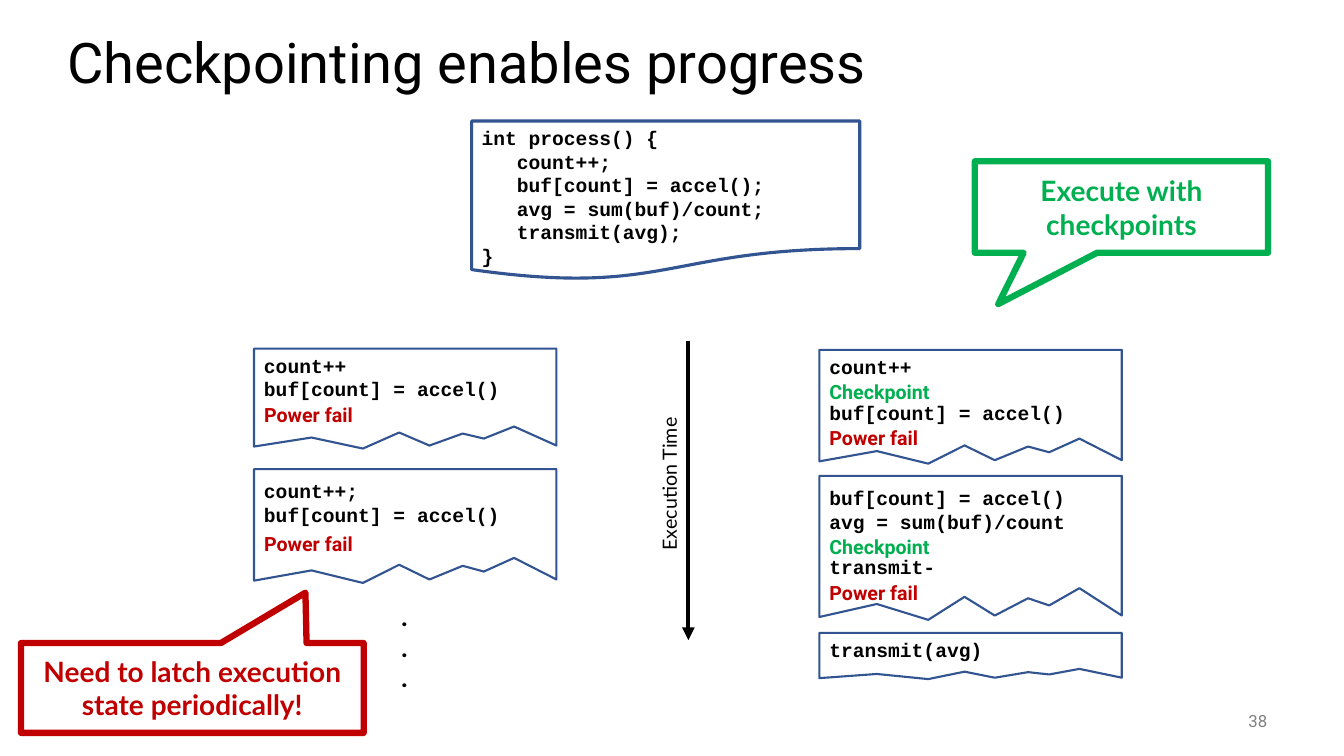
from dataclasses import dataclass
from lxml import etree
from pptx import Presentation
from pptx import util as u
from pptx.dml.color import RGBColor
from pptx.enum import shapes, text
from pptx.oxml.ns import qn


@dataclass(frozen=True)
class Theme:
    """Colours, fonts and type sizes."""
    ink: str = "000000"
    paper: str = "FFFFFF"
    edge: str = "325491"
    bad: str = "C00000"
    good: str = "00B050"
    grey: str = "808080"
    head: str = "Roboto"
    note: str = "Lato"
    mono: str = "Courier New"
    title: int = 40
    call: int = 20
    dots: int = 18
    body: int = 14
    page: int = 12


T = Theme()
COLS, ROWS = 32, 18
WIDE, HIGH = u.Inches(13.33), u.Inches(7.5)
TEAR = [(1, .97), (.86, .78), (.76, .9), (.69, .85), (.58, .97), (.48, .84),
        (.36, 1), (.19, .89), (0, .98)]


def place(box):
    """Turn grid columns and rows into slide lengths."""
    x, y, w, h = box
    cell, row = WIDE / COLS, HIGH / ROWS
    return [u.Emu(round(n)) for n in (x * cell, y * row, w * cell, h * row)]


def write(shape, lines, size, font, color, bold=False, align="LEFT", anchor="TOP", gaps=()):
    """Fill a shape with lines; gaps lists the lines that follow an empty row."""
    frame = shape.text_frame
    frame.word_wrap = True
    frame.vertical_anchor = getattr(text.MSO_ANCHOR, anchor)
    for i, line in enumerate(lines):
        para = frame.add_paragraph() if i else frame.paragraphs[0]
        para.text = line
        para.alignment = getattr(text.PP_ALIGN, align)
        if i in gaps:
            para.space_before = u.Pt(16)
        para.font.size, para.font.name, para.font.bold = u.Pt(size), font, bold
        para.font.color.rgb = RGBColor.from_string(color)


def label(slide, box, lines, size, font, color, **style):
    """Add a text box."""
    shape = slide.shapes.add_textbox(*place(box))
    write(shape, lines, size, font, color, **style)
    return shape


def paint(shape, line, width):
    """Give a shape a white fill, an outline and no shadow."""
    shape.shadow.inherit = False
    shape.fill.solid()
    shape.fill.fore_color.rgb = RGBColor.from_string(T.paper)
    shape.line.color.rgb = RGBColor.from_string(line)
    shape.line.width = u.Pt(width)


def torn(slide, box, lines, tags=(), top=.05, gaps=()):
    """Draw a torn sheet of code with coloured tags at rows below its top."""
    x, y, w, h = place(box)
    pen = slide.shapes.build_freeform(x, y)
    pen.add_line_segments([(x + round(w * a), y + round(h * b))
                           for a, b in [(1, 0)] + TEAR])
    sheet = pen.convert_to_shape()
    paint(sheet, T.edge, 1.5)
    sheet.text_frame.margin_top = u.Inches(top)
    write(sheet, lines, T.body, T.mono, T.ink, bold=True, gaps=gaps)
    for word, color, drop in tags:
        label(slide, (box[0], box[1] + drop, box[2] / 2, .82), [word],
              T.body, T.head, color, bold=True)


def source(slide, box):
    """Show the program on a document shape."""
    sheet = slide.shapes.add_shape(shapes.MSO_SHAPE.FLOWCHART_DOCUMENT, *place(box))
    paint(sheet, T.edge, 2.25)
    write(sheet, ["int process() {", "   count++;", "   buf[count] = accel();",
                  "   avg = sum(buf)/count;", "   transmit(avg);", "}"],
          T.body, T.mono, T.ink, bold=True)


def callout(slide, box, words, color, tip):
    """Draw a speech box whose tip is given in shares of its size."""
    shape = slide.shapes.add_shape(shapes.MSO_SHAPE.RECTANGULAR_CALLOUT, *place(box))
    shape.adjustments[0], shape.adjustments[1] = tip
    paint(shape, color, 4.5)
    write(shape, [words], T.call, T.note, color, bold=True, align="CENTER", anchor="MIDDLE")


def axis(slide, box):
    """Draw the time arrow down the right side of the box and its turned label."""
    x, y, w, h = box
    left, top, wide, high = place(box)
    line = slide.shapes.add_connector(shapes.MSO_CONNECTOR.STRAIGHT,
                                      left + wide, top, left + wide, top + high)
    line.line.color.rgb = RGBColor.from_string(T.ink)
    line.line.width = u.Pt(3)
    etree.SubElement(line.line._get_or_add_ln(), qn("a:tailEnd"), type="triangle")
    etree.SubElement(line._element.spPr, qn("a:effectLst"))
    span = 4.32
    name = label(slide, (x + w / 2 - span / 2, y + 2.64, span, w), ["Execution Time"],
                 T.body, T.note, T.ink)
    name.rotation = 270


def plain(slide, box):
    """Stack the runs without checkpoints, then dots."""
    x, y, w, h = box
    torn(slide, (x, y, w, 2.38), ["count++", "buf[count] = accel()"],
         [("Power fail", T.bad, 1.18)])
    torn(slide, (x, y + 2.87, w, 2.71), ["count++;", "buf[count] = accel()"],
         [("Power fail", T.bad, 1.37)], top=.1)
    label(slide, (x + 3.26, y + 5.91, .77, h - 5.91), ["."] * 3,
          T.dots, T.head, T.ink, bold=True)


def saved(slide, box):
    """Stack the runs with checkpoints."""
    x, y, w, h = box
    torn(slide, (x, y, w, 2.71), ["count++", "buf[count] = accel()"],
         [("Checkpoint", T.good, .6), ("Power fail", T.bad, 1.7)], gaps=(1,))
    torn(slide, (x, y + 3, w, 3.43),
         ["buf[count] = accel()", "avg = sum(buf)/count", "transmit-"],
         [("Checkpoint", T.good, 1.3), ("Power fail", T.bad, 2.38)], top=.1, gaps=(2,))
    torn(slide, (x, y + 6.74, w, h - 6.74), ["transmit(avg)"])


def main():
    """Build the slide and save it."""
    deck = Presentation()
    deck.slide_width, deck.slide_height = WIDE, HIGH
    slide = deck.slides.add_slide(deck.slide_layouts[6])
    label(slide, (1.37, .53, 28.58, 1.85), ["Checkpointing enables progress"],
          T.title, T.head, T.ink)
    axis(slide, (15.53, 8.11, .86, 7.13))
    source(slide, (11.23, 2.88, 9.24, 3.79))
    plain(slide, (6.05, 8.3, 7.2, 8.33))
    saved(slide, (19.51, 8.33, 7.2, 7.84))
    callout(slide, (.5, 15.31, 8.16, 2.14), "Need to latch execution state periodically!",
            T.bad, (.33, -1.06))
    callout(slide, (23.21, 3.84, 6.98, 2.18), "Execute with checkpoints",
            T.good, (-.42, 1.06))
    label(slide, (28.01, 16.68, 2.4, .96), ["38"], T.page, T.head, T.grey,
          align="RIGHT", anchor="MIDDLE")
    deck.save("out.pptx")


if __name__ == "__main__":
    main()
